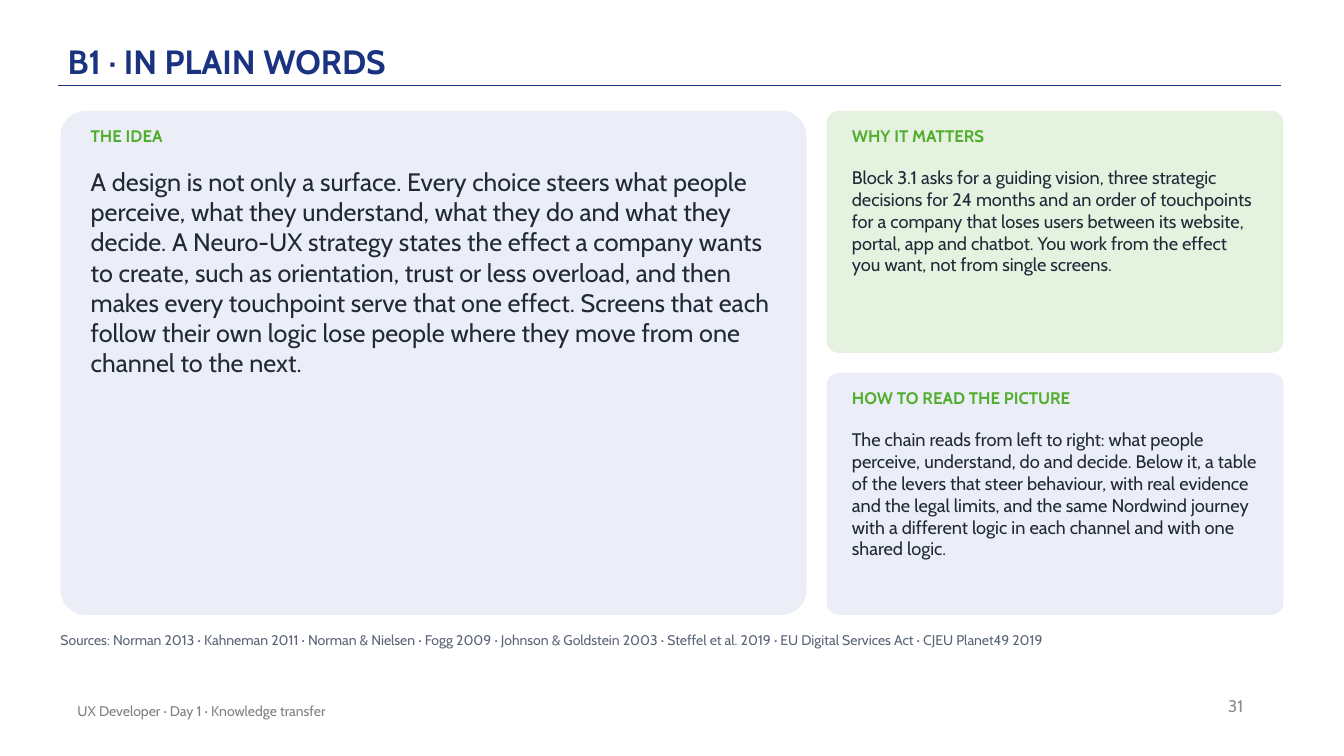
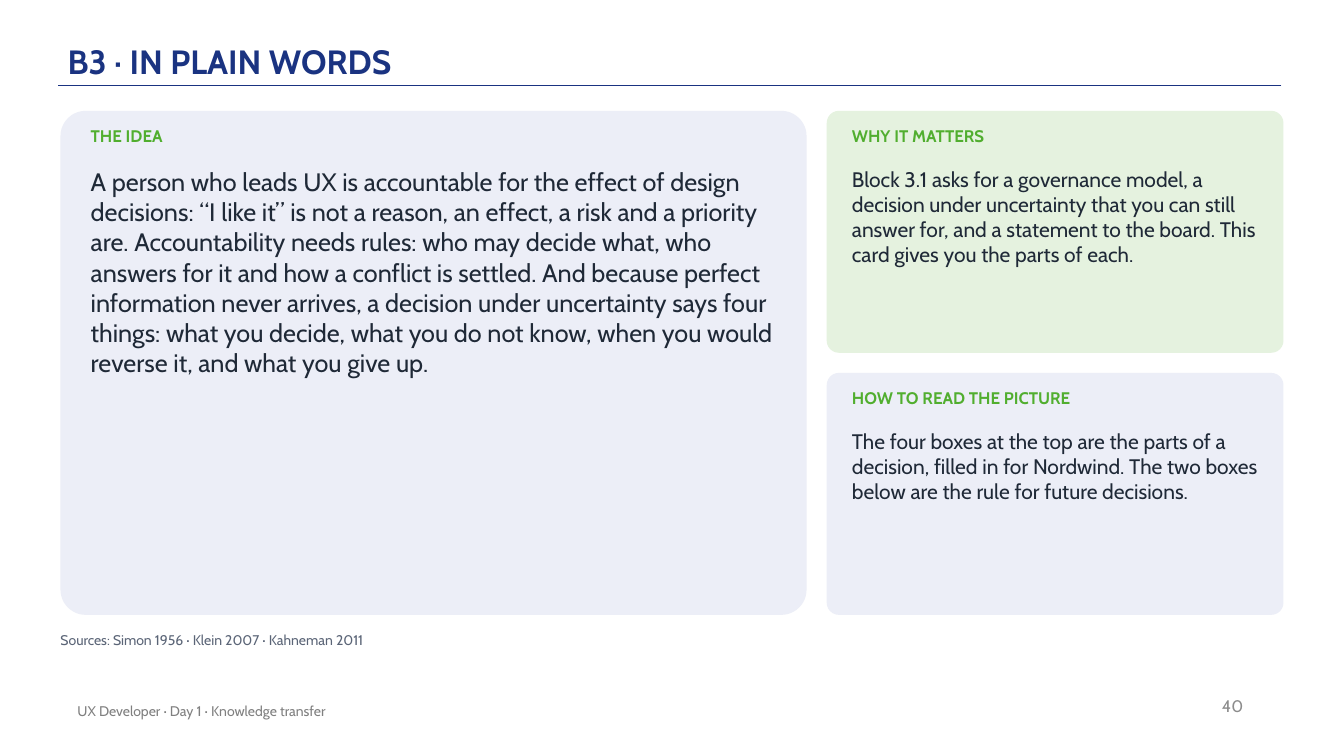
"""Build the two "In plain words" slides of the UX Developer course."""
from dataclasses import dataclass

from lxml import etree
from pptx import Presentation
from pptx.dml.color import RGBColor
from pptx.enum import shapes, text
from pptx.oxml import ns
from pptx.util import Inches, Pt

FOOTER = "UX Developer · Day 1 · Knowledge transfer"
SLIDES = [
    {
        "title": "B1 · IN PLAIN WORDS",
        "number": "31",
        "side_size": 13,
        "idea": "A design is not only a surface. Every choice steers what people perceive, "
                "what they understand, what they do and what they decide. A Neuro-UX strategy "
                "states the effect a company wants to create, such as orientation, trust or "
                "less overload, and then makes every touchpoint serve that one effect. Screens "
                "that each follow their own logic lose people where they move from one channel "
                "to the next.",
        "why": "Block 3.1 asks for a guiding vision, three strategic decisions for 24 months "
               "and an order of touchpoints for a company that loses users between its website, "
               "portal, app and chatbot. You work from the effect you want, not from single "
               "screens.",
        "how": "The chain reads from left to right: what people perceive, understand, do and "
               "decide. Below it, a table of the levers that steer behaviour, with real evidence "
               "and the legal limits, and the same Nordwind journey with a different logic in "
               "each channel and with one shared logic.",
        "sources": "Sources: Norman 2013 · Kahneman 2011 · Norman & Nielsen · Fogg 2009 · "
                   "Johnson & Goldstein 2003 · Steffel et al. 2019 · EU Digital Services Act · "
                   "CJEU Planet49 2019",
    },
    {
        "title": "B3 · IN PLAIN WORDS",
        "number": "40",
        "side_size": 15,
        "idea": "A person who leads UX is accountable for the effect of design decisions: "
                "“I like it” is not a reason, an effect, a risk and a priority are. "
                "Accountability needs rules: who may decide what, who answers for it and how a "
                "conflict is settled. And because perfect information never arrives, a decision "
                "under uncertainty says four things: what you decide, what you do not know, when "
                "you would reverse it, and what you give up.",
        "why": "Block 3.1 asks for a governance model, a decision under uncertainty that you can "
               "still answer for, and a statement to the board. This card gives you the parts of "
               "each.",
        "how": "The four boxes at the top are the parts of a decision, filled in for Nordwind. "
               "The two boxes below are the rule for future decisions.",
        "sources": "Sources: Simon 1956 · Klein 2007 · Kahneman 2011",
    },
]


@dataclass(frozen=True)
class Theme:
    """Font, colours and type sizes of the deck."""
    font: str = "Cabin"
    navy: str = "1A3381"
    green: str = "51AE2F"
    ink: str = "1F2937"
    slate: str = "5B6577"
    footer: str = "808080"
    number: str = "8C8C8C"
    pale_blue: str = "ECEEF7"
    pale_green: str = "E5F2DF"
    title_size: int = 24
    idea_size: int = 18
    label_size: int = 12
    small_size: int = 10


THEME = Theme()
LEFT, TOP, GAP = 0.6, 1.1, 0.2
WIDE, NARROW, TALL = 7.4, 4.53, 5
SHORT = (TALL - GAP) / 2
SIDE = LEFT + WIDE + GAP
CARDS = [
    ("idea", "THE IDEA", (LEFT, TOP, WIDE, TALL), 0.3, THEME.pale_blue),
    ("why", "WHY IT MATTERS", (SIDE, TOP, NARROW, SHORT), 0.25, THEME.pale_green),
    ("how", "HOW TO READ THE PICTURE", (SIDE, TOP + SHORT + GAP, NARROW, SHORT), 0.25,
     THEME.pale_blue),
]


def add_text(slide, words, area, size, color, bold=False, anchor=text.MSO_ANCHOR.TOP,
             align=text.PP_ALIGN.LEFT, insets=(0, 0)):
    """Add a wrapped one-paragraph text box and return it."""
    box = slide.shapes.add_textbox(*map(Inches, area))
    frame = box.text_frame
    frame.word_wrap = True
    frame.vertical_anchor = anchor
    frame.margin_left = frame.margin_right = Inches(insets[0])
    frame.margin_top = frame.margin_bottom = Inches(insets[1])
    frame.text = words
    para = frame.paragraphs[0]
    para.alignment = align
    font = para.runs[0].font
    font.name, font.size, font.bold = THEME.font, Pt(size), bold
    font.color.rgb = RGBColor.from_string(color)
    return box


def add_flow_text(slide, *args, **options):
    """Add a text box that grows with its text."""
    frame = add_text(slide, *args, **options).text_frame
    frame.auto_size = text.MSO_AUTO_SIZE.SHAPE_TO_FIT_TEXT
    frame.paragraphs[0].space_after = Pt(6)


def add_frame(slide, title, number):
    """Add the title, its rule, the footer and the slide number."""
    rule = slide.shapes.add_connector(
        shapes.MSO_CONNECTOR.STRAIGHT, *map(Inches, (12.71, 0.85, 0.58, 0.85)))
    rule.line.color.rgb = RGBColor.from_string(THEME.navy)
    rule.line.width = Pt(1)
    etree.SubElement(rule.element.spPr, ns.qn("a:effectLst"))
    heading = add_text(slide, title, (0.67, 0.12, 11, 0.72), THEME.title_size, THEME.navy,
                       bold=True, anchor=text.MSO_ANCHOR.BOTTOM, insets=(0, 0.03))
    heading.text_frame.paragraphs[0].line_spacing = 0.9
    middle = {"anchor": text.MSO_ANCHOR.MIDDLE, "insets": (0.1, 0.05)}
    add_text(slide, number, (9.43, 6.8, 3, 0.4), THEME.label_size, THEME.number,
             align=text.PP_ALIGN.RIGHT, **middle)
    add_text(slide, FOOTER, (0.67, 6.85, 6.7, 0.4), THEME.small_size, THEME.footer, **middle)


def add_card(slide, label, body, area, pad, fill, size):
    """Add a rounded card with a label and body text."""
    left, top, width, height = area
    card = slide.shapes.add_shape(shapes.MSO_SHAPE.ROUNDED_RECTANGLE, *map(Inches, area))
    card.adjustments[0] = 0.05
    card.shadow.inherit = False
    card.fill.solid()
    card.fill.fore_color.rgb = RGBColor.from_string(fill)
    card.line.fill.background()
    inner = width - 2 * pad
    add_flow_text(slide, label, (left + pad, top + 0.15, inner, 0.35),
                  THEME.label_size, THEME.green, bold=True)
    add_flow_text(slide, body, (left + pad, top + 0.55, inner, height - 0.7),
                  size, THEME.ink)


def main():
    """Build and save the deck."""
    deck = Presentation()
    deck.slide_width, deck.slide_height = Inches(13.33), Inches(7.5)
    for page in SLIDES:
        slide = deck.slides.add_slide(deck.slide_layouts[6])
        add_frame(slide, page["title"], page["number"])
        for key, label, area, pad, fill in CARDS:
            size = THEME.idea_size if key == "idea" else page["side_size"]
            add_card(slide, label, page[key], area, pad, fill, size)
        add_flow_text(slide, page["sources"], (LEFT, 6.27, 12.1, 0.3),
                      THEME.small_size, THEME.slate)
    deck.save("out.pptx")


if __name__ == "__main__":
    main()
